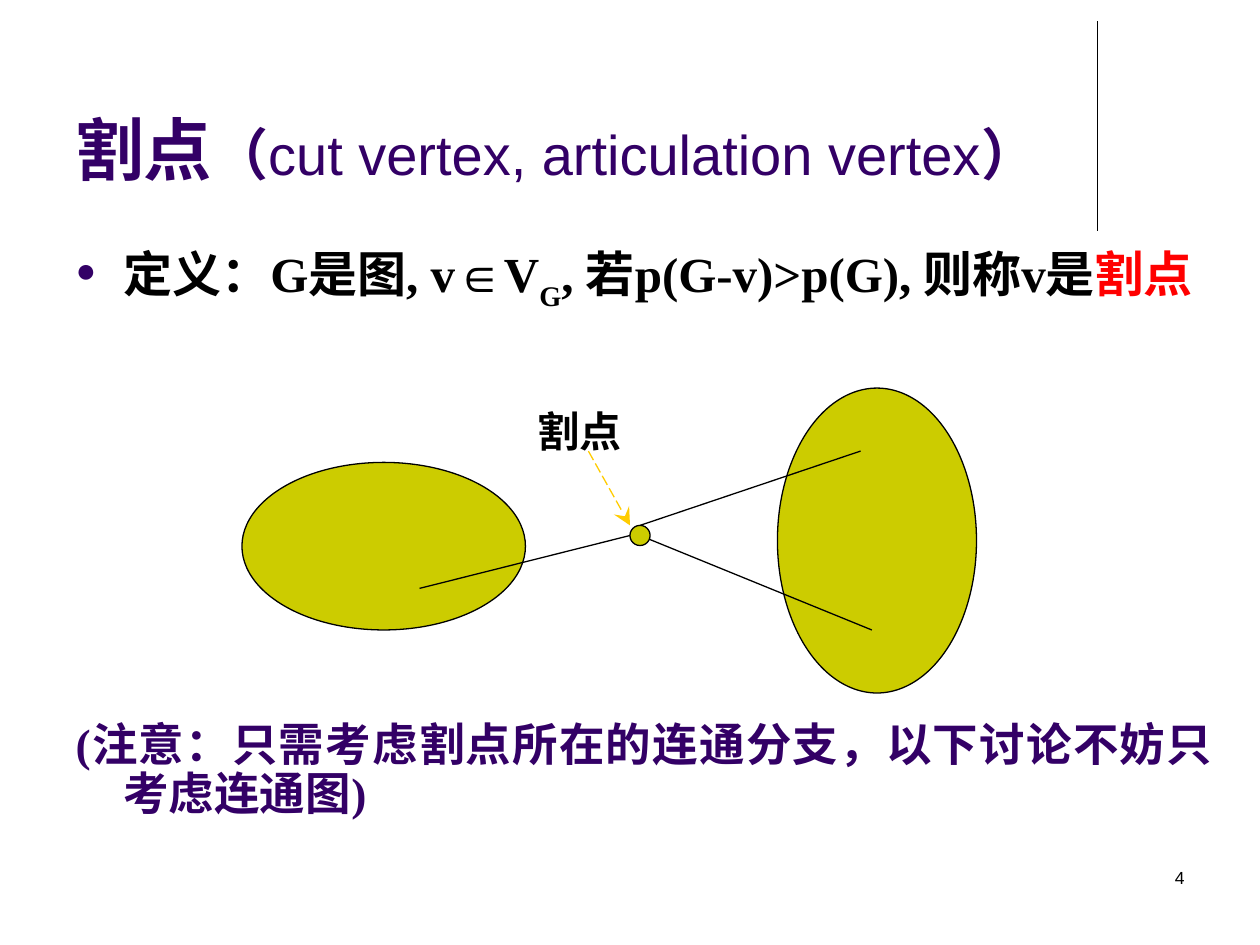
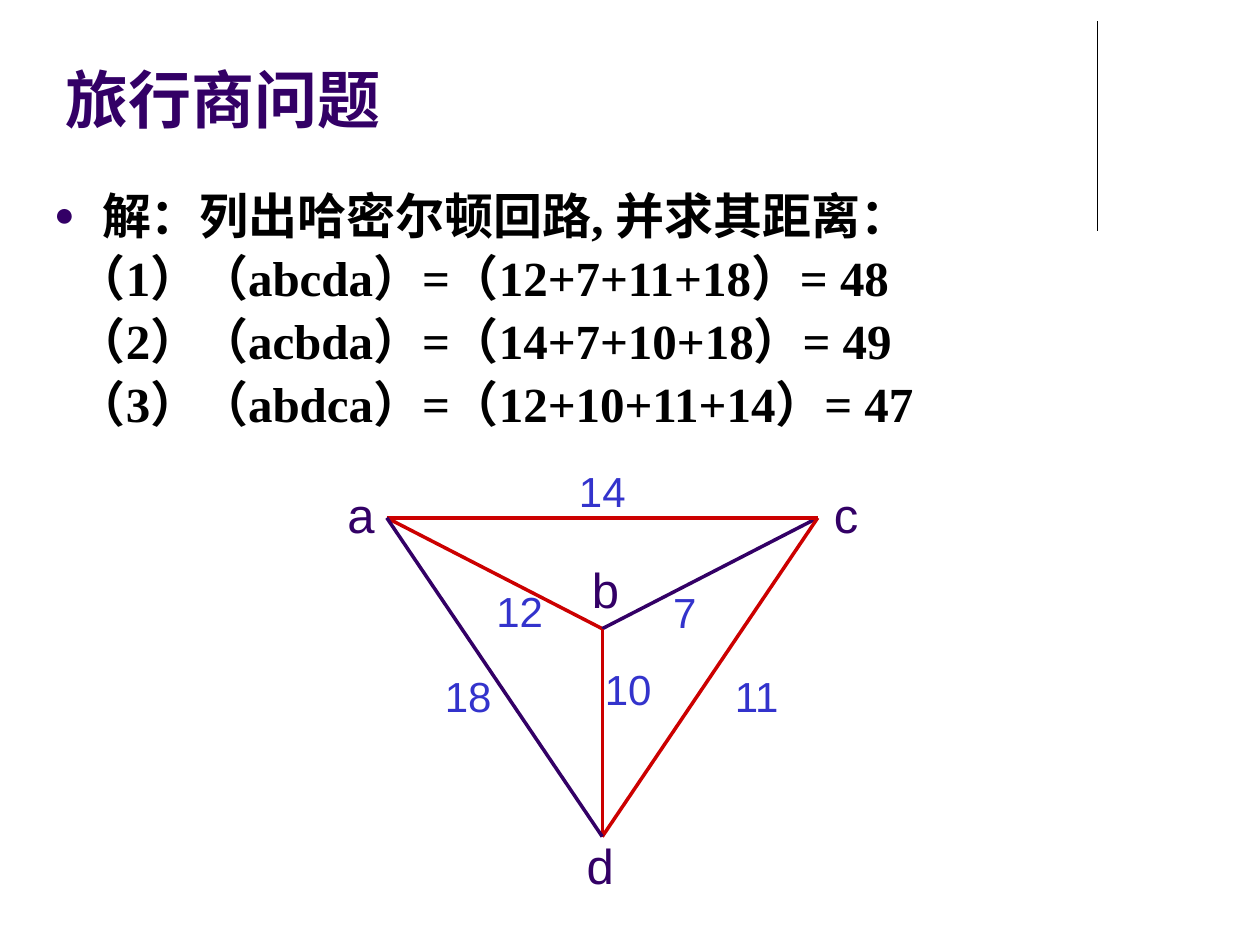
from dataclasses import dataclass

from lxml import etree
from pptx import Presentation
from pptx.dml.color import RGBColor
from pptx.enum.dml import MSO_LINE
from pptx.enum.shapes import MSO_CONNECTOR, MSO_SHAPE
from pptx.enum.text import MSO_ANCHOR, MSO_AUTO_SIZE, PP_ALIGN
from pptx.oxml.ns import qn
from pptx.util import Inches, Pt

STRAIGHT = MSO_CONNECTOR.STRAIGHT
OVAL = MSO_SHAPE.OVAL
CALLOUT = MSO_SHAPE.RECTANGULAR_CALLOUT
DASH = MSO_LINE.LONG_DASH
LEFT, CENTER = PP_ALIGN.LEFT, PP_ALIGN.CENTER
RIGHT, JUSTIFY = PP_ALIGN.RIGHT, PP_ALIGN.JUSTIFY
TOP, MIDDLE, BOTTOM = MSO_ANCHOR.TOP, MSO_ANCHOR.MIDDLE, MSO_ANCHOR.BOTTOM
FIXED = MSO_AUTO_SIZE.NONE


@dataclass(frozen=True)
class Theme:
    sans: str = "Arial"
    serif: str = "Times New Roman"
    ink: str = "000000"
    purple: str = "330066"
    olive: str = "CCCC00"
    gold: str = "FFCC00"
    alert: str = "FF0000"
    tour: str = "CC0000"
    weight: str = "3333CC"
    head: int = 36
    body: int = 28
    note: int = 26
    label: int = 24
    small: int = 10
    gap: float = 5.6
    thin: float = 0.75
    thick: float = 2


T = Theme()


# Text
def add_run(par, text, size, color=T.ink, font=T.serif, bold=True, base=0):
    run = par.add_run()
    run.text = text
    run.font.name = font
    run.font.size = Pt(size)
    run.font.bold = bold
    run.font.color.rgb = RGBColor.from_string(color)
    if base:
        run._r.get_or_add_rPr().set("baseline", str(base * 1000))


def set_frame(shape, anchor):
    frame = shape.text_frame
    frame.word_wrap = True
    frame.auto_size = FIXED
    frame.vertical_anchor = anchor
    return frame


def place(shape, box):
    shape.left, shape.top, shape.width, shape.height = map(Inches, box)


def add_label(slide, box, text, size, align=LEFT, **style):
    frame = set_frame(slide.shapes.add_textbox(*map(Inches, box)), TOP)
    par = frame.paragraphs[0]
    par.alignment = align
    add_run(par, text, size, **style)


def add_tag(slide, box, text, size, color):
    """Centre text in a bare callout."""
    tag = slide.shapes.add_shape(CALLOUT, *map(Inches, box))
    tag.shadow.inherit = False
    tag.fill.background()
    tag.line.fill.background()
    par = set_frame(tag, MIDDLE).paragraphs[0]
    par.alignment = CENTER
    add_run(par, text, size, color, T.sans, False)


def set_title(slide, box):
    title = slide.shapes.title
    place(title, box)
    par = set_frame(title, BOTTOM).paragraphs[0]
    par.alignment = LEFT
    return par


def set_body(slide, box):
    body = slide.placeholders[1]
    place(body, box)
    return set_frame(body, TOP)


def format_par(par, margin=0.38, indent=-0.38, lines=0.9, before=0,
               align=JUSTIFY, bullet=False):
    par.alignment = align
    par.line_spacing = lines
    par.space_before = Pt(before)
    props = par._p.get_or_add_pPr()
    props.set("marL", str(Inches(margin)))
    props.set("indent", str(Inches(indent)))
    if not bullet:
        etree.SubElement(props, qn("a:buNone"))
        return
    tint = etree.SubElement(props, qn("a:buClr"))
    etree.SubElement(tint, qn("a:srgbClr"), val=T.purple)
    etree.SubElement(props, qn("a:buSzPct"), val="70000")
    etree.SubElement(props, qn("a:buFont"), typeface=T.sans)
    etree.SubElement(props, qn("a:buChar"), char="●")


# Drawing
def add_line(slide, start, end, color=T.ink, width=T.thin):
    ends = map(Inches, (*start, *end))
    line = slide.shapes.add_connector(STRAIGHT, *ends)
    line.line.color.rgb = RGBColor.from_string(color)
    line.line.width = Pt(width)
    etree.SubElement(line._element.spPr, qn("a:effectLst"))
    return line


def add_arrow(slide, start, end, color):
    arrow = add_line(slide, start, end, color)
    arrow.line.dash_style = DASH
    etree.SubElement(arrow.line._get_or_add_ln(), qn("a:tailEnd"),
                     type="stealth", w="lg", len="lg")


def add_oval(slide, box):
    oval = slide.shapes.add_shape(OVAL, *map(Inches, box))
    oval.shadow.inherit = False
    oval.fill.solid()
    oval.fill.fore_color.rgb = RGBColor.from_string(T.olive)
    oval.line.color.rgb = RGBColor.from_string(T.ink)
    oval.line.width = Pt(T.thin)


def new_slide(deck):
    slide = deck.slides.add_slide(deck.slide_layouts[1])
    add_line(slide, (8.71, 0.17), (8.71, 1.83))
    return slide


# Slides
def cut_slide(deck):
    slide = new_slide(deck)
    title = set_title(slide, (0.5, 0.13, 8.25, 1.42))
    for text, size, bold in (("割点", 39, True), ("（", 32, True),
                             ("cut vertex, articulation vertex", 32, False),
                             ("）", 32, True)):
        add_run(title, text, size, T.purple, T.sans, bold)

    # Definition and note
    frame = set_body(slide, (0.5, 1.88, 9.23, 4.82))
    par = frame.paragraphs[0]
    format_par(par, bullet=True)
    add_run(par, "定义：G是图, v∈V", T.body)
    add_run(par, "G", T.body, base=-30)
    add_run(par, ", 若p(G-v)>p(G), 则称v是", T.body)
    add_run(par, "割点", T.body, T.alert)
    par = frame.add_paragraph()
    format_par(par, before=238)
    add_run(par, "(注意：只需考虑割点所在的连通分支，以下讨论不妨只考虑连通图)",
            T.note, T.purple)

    # Two parts joined at the cut vertex
    add_oval(slide, (1.92, 3.67, 2.25, 1.33))
    add_oval(slide, (6.17, 3.08, 1.58, 2.42))
    add_line(slide, (5.08, 4.17), (6.83, 3.58))
    add_line(slide, (5.08, 4.25), (6.92, 5))
    add_line(slide, (5, 4.25), (3.33, 4.67))
    add_oval(slide, (5, 4.17, 0.16, 0.16))
    add_label(slide, (4.17, 3.17, 1.5, 0.51), "割点", T.label)
    add_arrow(slide, (4.67, 3.58), (5, 4.17), T.gold)

    # Page number
    add_label(slide, (7.17, 6.83, 2.33, 0.5), "4", T.small, RIGHT,
              font=T.sans, bold=False)


def tour_slide(deck):
    slide = new_slide(deck)
    title = set_title(slide, (0.42, 0.5, 9, 0.63))
    add_run(title, "旅行商问题", T.head, T.purple, T.sans)

    # Tours and their lengths
    frame = set_body(slide, (0.33, 1.33, 9.5, 2.25))
    par = frame.paragraphs[0]
    format_par(par, lines=1.2, align=LEFT, bullet=True)
    add_run(par, "解：列出哈密尔顿回路, 并求其距离：", T.body)
    for text in ("（1）（abcda）=（12+7+11+18）= 48",
                 "（2）（acbda）=（14+7+10+18）= 49",
                 "（3）（abdca）=（12+10+11+14）= 47"):
        par = frame.add_paragraph()
        format_par(par, margin=0.18, indent=0, before=T.gap)
        add_run(par, text, T.body)

    # Weighted graph: the shortest tour is red
    spots = {"a": (3.07, 4.11), "b": (4.78, 4.99),
             "c": (6.49, 4.11), "d": (4.78, 6.64)}
    edges = (("ab", T.tour, "12", (3.8, 4.63, 0.65, 0.44)),
             ("bc", T.purple, "7", (5.11, 4.63, 0.65, 0.45)),
             ("db", T.tour, "10", (4.66, 5.25, 0.65, 0.44)),
             ("ac", T.tour, "14", (4.37, 3.67, 0.82, 0.45)),
             ("dc", T.tour, "11", (5.68, 5.3, 0.65, 0.45)),
             ("da", T.purple, "18", (3.39, 5.3, 0.65, 0.45)))
    for (start, end), color, *_ in edges:
        add_line(slide, spots[start], spots[end], color, T.thick)
    for _, _, cost, box in edges:
        add_tag(slide, box, cost, T.label, T.weight)
    for name, x, y in (("a", 2.58, 3.85), ("b", 4.52, 4.45),
                       ("c", 6.43, 3.85), ("d", 4.48, 6.64)):
        add_tag(slide, (x, y, 0.57, 0.45), name, T.body, T.purple)


def main():
    deck = Presentation()
    deck.slide_width, deck.slide_height = Inches(10), Inches(7.5)
    cut_slide(deck)
    tour_slide(deck)
    deck.save("out.pptx")


if __name__ == "__main__":
    main()
